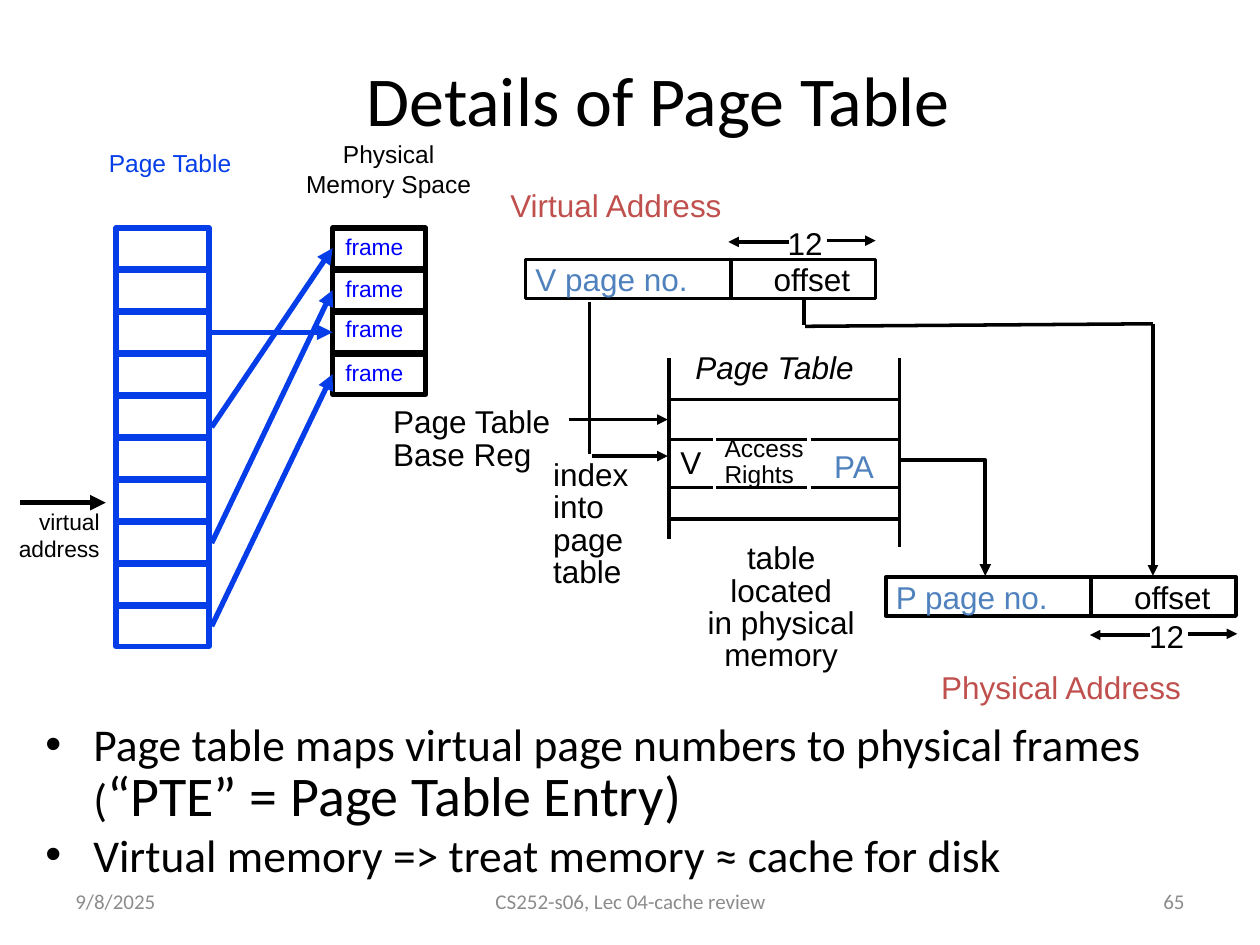
from dataclasses import dataclass
from typing import Optional

from lxml.etree import SubElement
from pptx import Presentation
from pptx.dml.color import RGBColor
from pptx.enum.shapes import MSO_CONNECTOR, MSO_SHAPE
from pptx.enum.text import MSO_ANCHOR, MSO_AUTO_SIZE, PP_ALIGN
from pptx.oxml.ns import qn
from pptx.util import Inches, Length, Pt

BLACK = RGBColor(0x00, 0x00, 0x00)
WHITE = RGBColor(0xFF, 0xFF, 0xFF)
GRAY = RGBColor(0x8C, 0x8C, 0x8C)
RED = RGBColor(0xC0, 0x50, 0x4D)
STEEL = RGBColor(0x4F, 0x81, 0xBD)
BLUE = RGBColor(0x05, 0x3D, 0xE8)
FRAME_BLUE = RGBColor(0x00, 0x00, 0xFF)
LEFT, CENTER, RIGHT = PP_ALIGN.LEFT, PP_ALIGN.CENTER, PP_ALIGN.RIGHT
NARROW = (0.07, 0.03)
NONE = (0, 0)
ROW_TOP, ROW_PITCH = 1.81, 1 / 3
ROW_WIDTH, ROW_HEIGHT = 0.74, 0.32


@dataclass
class Label:
    text: str
    left: float
    top: float
    width: float
    height: float
    size: float = 18
    color: RGBColor = BLACK
    align: PP_ALIGN = LEFT
    spacing: float | Length = 0.85
    inset: tuple[float, float] = NARROW
    wrap: bool = False
    italic: bool = False
    font: str = "Arial"
    anchor: MSO_ANCHOR = MSO_ANCHOR.TOP
    grow: bool = True


@dataclass
class Stroke:
    x1: float
    y1: float
    x2: float
    y2: float
    arrow: bool = False
    color: RGBColor = BLACK
    weight: float = 2


@dataclass
class Address:
    left: float
    top: float
    page: str


def draw_label(slide, label: Label):
    box = slide.shapes.add_textbox(*map(Inches, (label.left, label.top, label.width, label.height)))
    frame = box.text_frame
    frame.word_wrap = label.wrap
    frame.auto_size = MSO_AUTO_SIZE.SHAPE_TO_FIT_TEXT if label.grow else MSO_AUTO_SIZE.NONE
    frame.vertical_anchor = label.anchor
    frame.margin_left = frame.margin_right = Inches(label.inset[0])
    frame.margin_top = frame.margin_bottom = Inches(label.inset[1])
    frame.text = label.text
    for paragraph in frame.paragraphs:
        paragraph.alignment = label.align
        paragraph.line_spacing = label.spacing
        for run in paragraph.runs:
            run.font.name = label.font
            run.font.size = Pt(label.size)
            run.font.color.rgb = label.color
            run.font.italic = label.italic
    return box


def add_arrowhead(line_owner) -> None:
    SubElement(line_owner.line._get_or_add_ln(), qn("a:tailEnd"), type="triangle")


def draw_stroke(slide, stroke: Stroke):
    connector = slide.shapes.add_connector(
        MSO_CONNECTOR.STRAIGHT, *map(Inches, (stroke.x1, stroke.y1, stroke.x2, stroke.y2)))
    connector.line.color.rgb = stroke.color
    connector.line.width = Pt(stroke.weight)
    if stroke.arrow:
        add_arrowhead(connector)
    SubElement(connector._element.spPr, qn("a:effectLst"))
    return connector


def draw_box(slide, left: float, top: float, width: float, height: float,
             color: RGBColor, weight: float, fill: Optional[RGBColor] = None):
    box = slide.shapes.add_shape(MSO_SHAPE.RECTANGLE, *map(Inches, (left, top, width, height)))
    box.shadow.inherit = False
    if fill is None:
        box.fill.background()
    else:
        box.fill.solid()
        box.fill.fore_color.rgb = fill
    box.line.color.rgb = color
    box.line.width = Pt(weight)
    return box


def draw_column(slide, left: float, count: int, color: RGBColor) -> list:
    return [draw_box(slide, left, ROW_TOP + i * ROW_PITCH, ROW_WIDTH, ROW_HEIGHT, color, 3, WHITE)
            for i in range(count)]


def draw_address(slide, address: Address) -> None:
    x, y = address.left, address.top
    draw_box(slide, x, y, 2.78, 0.31, BLACK, 2)
    draw_stroke(slide, Stroke(x + 1.63, y, x + 1.63, y + 0.31))
    draw_label(slide, Label(address.page, x + 0.01, y + 0.02, 1.4, 0.31, color=STEEL))
    draw_label(slide, Label("offset", x + 1.9, y + 0.02, 0.82, 0.31))


def draw_offset_width(slide, left: float, top: float) -> None:
    draw_label(slide, Label("12", left + 0.4, top, 0.42, 0.31))
    draw_stroke(slide, Stroke(left + 0.78, top + 0.12, left + 1.17, top + 0.12, True))
    draw_stroke(slide, Stroke(left + 0.48, top + 0.13, left, top + 0.13, True))


def draw_summary(slide) -> None:
    box = draw_label(slide, Label(
        "Page table maps virtual page numbers to physical frames (\n"
        "Virtual memory => treat memory ≈ cache for disk",
        0.29, 5.72, 9.38, 1.23, 26, wrap=True, font="Calibri"))
    mapping, caching = box.text_frame.paragraphs
    entry = mapping.add_run()
    entry.text = "“PTE” = Page Table Entry)"
    entry.font.name = "Calibri"
    entry.font.size = Pt(32)
    entry.font.color.rgb = BLACK
    for paragraph in (mapping, caching):
        properties = paragraph._p.get_or_add_pPr()
        properties.set("marL", str(Inches(0.38)))
        properties.set("indent", str(Inches(-0.38)))
        SubElement(properties, qn("a:buFont"), typeface="Arial")
        SubElement(properties, qn("a:buChar"), char="•")
    caching.space_before = Pt(4)


def draw_mapping(slide) -> None:
    frames = draw_column(slide, 2.64, 4, BLACK)
    entries = draw_column(slide, 0.92, 10, BLUE)
    for start_y, target in ((4.31, 1), (2.63, 2), (4.97, 3), (3.39, 0)):
        arrow = draw_stroke(slide, Stroke(1.68, start_y, 2.64, 2, True, BLUE, 3))
        arrow.end_connect(frames[target], 1)
        if target == 2:
            arrow.begin_connect(entries[2], 3)
    for top in (1.85, 2.18, 2.5, 2.85):
        draw_label(slide, Label("frame", 2.74, top, 0.65, 0.22, 13, FRAME_BLUE,
                                spacing=1.0, inset=NONE, wrap=True))
    draw_stroke(slide, Stroke(0.16, 3.99, 0.84, 3.99, True, BLACK, 3))


def draw_entry_path(slide) -> None:
    builder = slide.shapes.build_freeform(Inches(7.15), Inches(3.65))
    builder.add_line_segments([(Inches(7.82), Inches(3.65)), (Inches(7.82), Inches(4.57))], close=False)
    elbow = builder.convert_to_shape()
    elbow.shadow.inherit = False
    elbow.fill.background()
    elbow.line.color.rgb = BLACK
    elbow.line.width = Pt(2.25)
    add_arrowhead(elbow)


FOOTER = dict(top=6.95, height=0.4, size=12, color=GRAY, spacing=1.0, inset=(0.1, 0.05),
              wrap=True, font="Calibri", anchor=MSO_ANCHOR.MIDDLE, grow=False)
LABELS = [
    Label("9/8/2025", left=0.5, width=2.33, **FOOTER),
    Label("CS252-s06, Lec 04-cache review", left=3.42, width=3.17, align=CENTER, **FOOTER),
    Label("65", left=7.17, width=2.33, align=RIGHT, **FOOTER),
    Label("Details of Page Table", 2.08, 0.58, 6.29, 0.4, 40, align=CENTER, spacing=1.0,
          wrap=True, font="Calibri", anchor=MSO_ANCHOR.MIDDLE, grow=False),
    Label("Physical\nMemory Space", 2.4, 1.1, 1.37, 0.47, 14, BLACK, CENTER, Pt(17), NONE),
    Label("Page Table", 0.81, 1.17, 1.08, 0.24, 14, BLUE, CENTER, Pt(17), NONE),
    Label("virtual address", -0.09, 4.03, 0.88, 0.43, 13, BLACK, RIGHT, 1.0, NONE, True),
    Label("Virtual Address", 3.98, 1.49, 1.99, 0.31, color=RED),
    Label("Physical Address", 7.4, 5.32, 2.22, 0.31, color=RED),
    Label("Page Table", 5.45, 2.78, 1.46, 0.31, italic=True),
    Label("index\ninto\npage\ntable", 4.32, 3.63, 0.74, 1.08),
    Label("Page Table\nBase Reg", 3.05, 3.21, 1.42, 0.57),
    Label("V", 5.33, 3.53, 0.31, 0.31),
    Label("Access\nRights", 5.68, 3.43, 0.82, 0.48, 14, spacing=0.9),
    Label("PA", 6.55, 3.56, 0.49, 0.31, color=STEEL),
    Label("table located\nin physical\nmemory", 5.5, 4.29, 1.4, 1.08, align=CENTER, wrap=True),
]
STROKES = [
    Stroke(5.31, 2.84, 5.31, 4.28),
    Stroke(7.14, 2.84, 7.14, 4.34),
    *(Stroke(5.32, y, 7.13, y) for y in (3.17, 3.49, 3.87, 4.12)),
    *(Stroke(x, 3.19, x, 4.06, color=WHITE) for x in (5.67, 6.42)),
    Stroke(4.68, 2.4, 4.68, 3.6),
    Stroke(4.7, 3.62, 5.3, 3.62, True),
    Stroke(4.52, 3.33, 5.3, 3.33, True),
    Stroke(6.38, 2.38, 6.38, 2.58),
    Stroke(6.39, 2.59, 9.15, 2.57),
    Stroke(9.15, 2.57, 9.15, 4.57, True),
]


def main() -> None:
    deck = Presentation()
    deck.slide_width, deck.slide_height = Inches(10), Inches(7.5)
    slide = deck.slides.add_slide(deck.slide_layouts[6])
    for stroke in STROKES:
        draw_stroke(slide, stroke)
    for address in (Address(4.17, 2.06, "V page no."), Address(7.03, 4.58, "P page no.")):
        draw_address(slide, address)
    draw_offset_width(slide, 5.78, 1.79)
    draw_offset_width(slide, 8.65, 4.91)
    draw_entry_path(slide)
    draw_mapping(slide)
    for label in LABELS:
        draw_label(slide, label)
    draw_summary(slide)
    deck.save("out.pptx")


if __name__ == "__main__":
    main()
